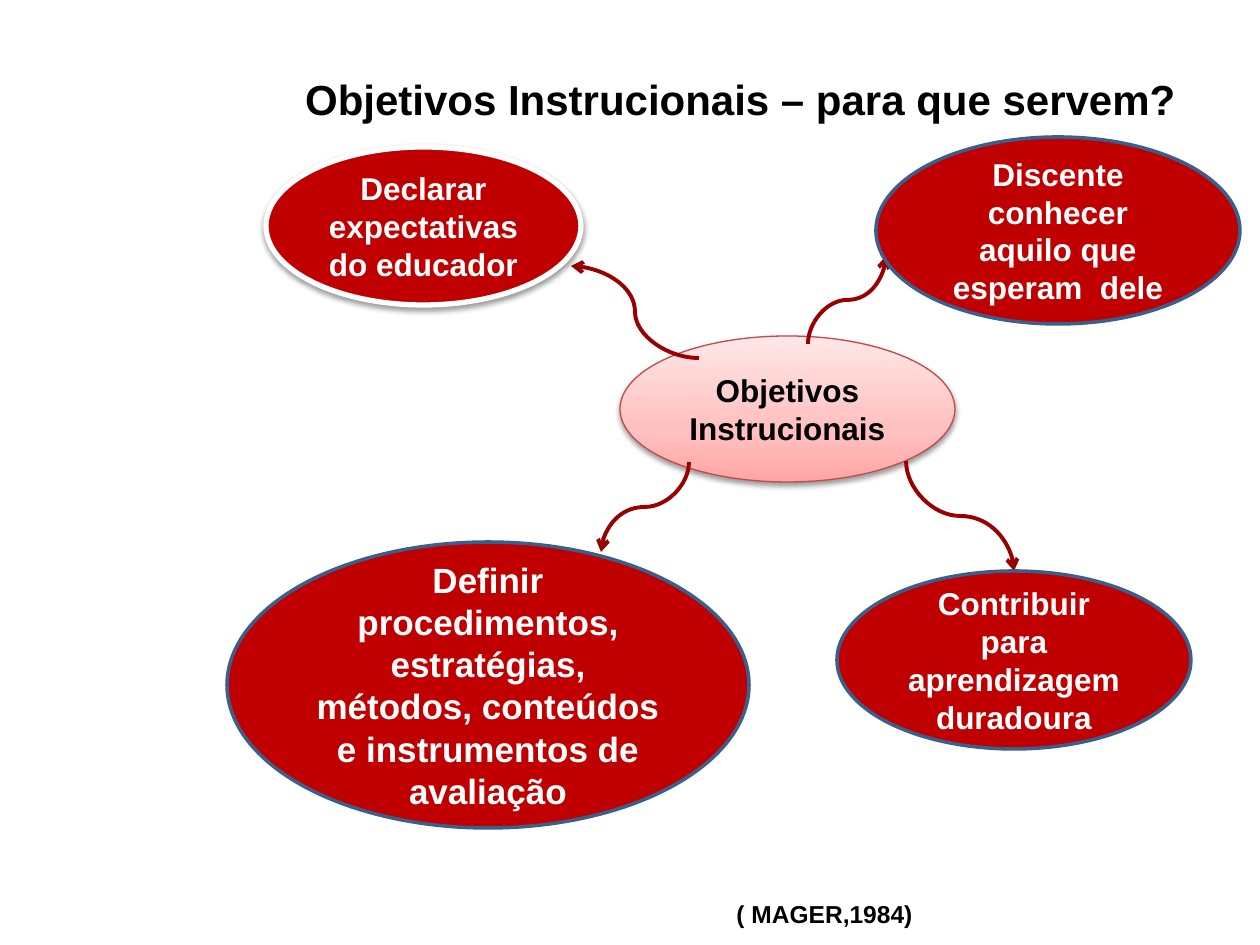
from copy import deepcopy

from lxml import etree
from pptx import Presentation, util as u
from pptx.dml.color import RGBColor
from pptx.enum import shapes, text
from pptx.oxml import ns

PX = 914400 / 126
COLORS = {"black": "000000", "white": "FFFFFF", "red": "C00000", "arrow": "990000",
          "blue": "3A5F8C", "rose": "BF4C48"}
ROSE_STOPS = [(0, "FFA6A5"), (0.35, "FFC0BF"), (1, "FFE7E7")]

TITLE = ("Objetivos Instrucionais – para que servem?", (280, 20, 921, 158))
SOURCE = ("( MAGER,1984)", (295, 893, 630, 43))
CENTER = ("Objetivos Instrucionais", (620, 336, 335, 146))

# Each purpose: text, box, font size, outline colour, outline width, shadow,
# and its arrow: start, end, rotation, flips
PURPOSES = [
    ("Declarar expectativas do educador", (266, 147, 315, 158), 18, "white", 3, True,
     ((699, 358), (571, 266), 180, "")),
    ("Discente conhecer aquilo que esperam  dele", (876, 137, 364, 187), 18, "blue", 2, False,
     ((808, 344), (886, 256), 90, "HV")),
    ("Definir procedimentos, estratégias, métodos, conteúdos e instrumentos de avaliação",
     (227, 542, 522, 286), 20, "blue", 2, False,
     ((689, 462), (601, 552), 90, "")),
    ("Contribuir para aprendizagem duradoura", (837, 571, 354, 178), 18, "blue", 2, False,
     ((906, 461), (1014, 571), 270, "H")),
]


def emu(px):
    return u.Emu(round(px * PX))


def rgb(name):
    return RGBColor.from_string(COLORS[name])


def write(shape, words, size, color, align, anchor):
    frame = shape.text_frame
    frame.word_wrap = True
    frame.vertical_anchor = anchor
    para = frame.paragraphs[0]
    para.alignment = align
    span = para.add_run()
    span.text = words
    span.font.name = "Arial"
    span.font.size = u.Pt(size)
    span.font.bold = True
    span.font.color.rgb = rgb(color)


def add_text(page, words, box, size, align, anchor):
    shape = page.shapes.add_textbox(*map(emu, box))
    write(shape, words, size, "black", align, anchor)


def add_shadow(shape):
    effects = shape._element.spPr.find(ns.qn("a:effectLst"))
    outer = etree.SubElement(effects, ns.qn("a:outerShdw"), blurRad="40000",
                             dist="23000", dir="5400000", rotWithShape="0")
    color = etree.SubElement(outer, ns.qn("a:srgbClr"), val=COLORS["black"])
    etree.SubElement(color, ns.qn("a:alpha"), val="38000")


def add_ellipse(page, words, box, size, text_color, line_color, line_width, shadow):
    shape = page.shapes.add_shape(shapes.MSO_SHAPE.OVAL, *map(emu, box))
    shape.fill.solid()
    shape.fill.fore_color.rgb = rgb("red")
    shape.line.color.rgb = rgb(line_color)
    shape.line.width = u.Pt(line_width)
    shape.shadow.inherit = False
    if shadow:
        add_shadow(shape)
    write(shape, words, size, text_color, text.PP_ALIGN.CENTER, text.MSO_ANCHOR.MIDDLE)
    return shape


def fill_gradient(shape, stops):
    shape.fill.gradient()
    shape.fill.gradient_angle = 90
    stop_list = shape._element.spPr.find(".//" + ns.qn("a:gsLst"))
    while len(stop_list) < len(stops):
        stop_list.append(deepcopy(stop_list[0]))
    for stop, (position, color) in zip(shape.fill.gradient_stops, stops):
        stop.position = position
        stop.color.rgb = RGBColor.from_string(color)


def add_arrow(page, start, end, rotation, flips):
    """Curved arrow; a quarter turn swaps the frame's width and height."""
    width, height = abs(end[0] - start[0]), abs(end[1] - start[1])
    if rotation % 180:
        width, height = height, width
    left = (start[0] + end[0] - width) / 2
    top = (start[1] + end[1] - height) / 2
    arrow = page.shapes.add_connector(shapes.MSO_CONNECTOR.CURVE, emu(left), emu(top),
                                      emu(left + width), emu(top + height))
    arrow.line.color.rgb = rgb("arrow")
    arrow.line.width = u.Pt(2.25)
    props = arrow._element.spPr
    frame = props.find(ns.qn("a:xfrm"))
    frame.set("rot", str(rotation * 60000))
    for axis in flips:
        frame.set("flip" + axis, "1")
    etree.SubElement(props.find(ns.qn("a:ln")), ns.qn("a:tailEnd"), type="arrow")
    etree.SubElement(props, ns.qn("a:effectLst"))


def main():
    deck = Presentation()
    deck.slide_width, deck.slide_height = emu(1260), emu(945)
    page = deck.slides.add_slide(deck.slide_layouts[6])

    add_text(page, *TITLE, 24, text.PP_ALIGN.CENTER, text.MSO_ANCHOR.MIDDLE)
    center = add_ellipse(page, *CENTER, 18, "black", "rose", 0.75, True)
    fill_gradient(center, ROSE_STOPS)
    for words, box, size, line_color, line_width, shadow, arrow in PURPOSES:
        add_arrow(page, *arrow)
        add_ellipse(page, words, box, size, "white", line_color, line_width, shadow)
    add_text(page, *SOURCE, 14, text.PP_ALIGN.RIGHT, text.MSO_ANCHOR.TOP)

    deck.save("out.pptx")


if __name__ == "__main__":
    main()
